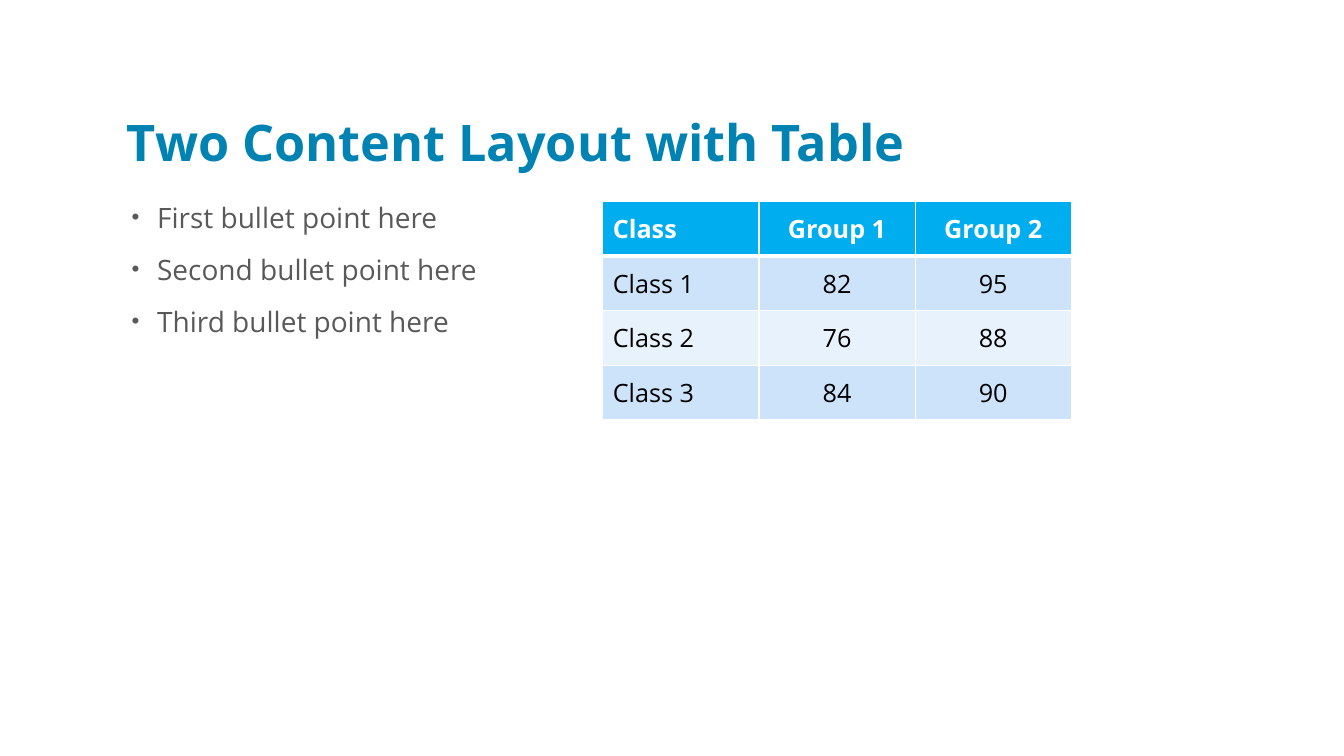
from lxml import etree
from pptx import Presentation
from pptx.dml.color import RGBColor
from pptx.enum.text import MSO_ANCHOR, PP_ALIGN
from pptx.oxml.ns import qn
from pptx.util import Cm, Pt

BOTTOM, MIDDLE = MSO_ANCHOR.BOTTOM, MSO_ANCHOR.MIDDLE
LEFT, CENTER = PP_ALIGN.LEFT, PP_ALIGN.CENTER

TITLE_BLUE = RGBColor(0x00, 0x83, 0xB3)
BODY_GRAY = RGBColor(0x59, 0x59, 0x59)
HEADER_BLUE = RGBColor(0x00, 0xAE, 0xEF)
BANDS = RGBColor(0xE7, 0xF2, 0xFC), RGBColor(0xCC, 0xE3, 0xF9)
WHITE = RGBColor(0xFF, 0xFF, 0xFF)
BLACK = RGBColor(0x00, 0x00, 0x00)

FONT = "Open Sans"
BULLETS = [
    "First bullet point here",
    "Second bullet point here",
    "Third bullet point here",
]
SCORES = [
    ("Class", "Group 1", "Group 2"),
    ("Class 1", "82", "95"),
    ("Class 2", "76", "88"),
    ("Class 3", "84", "90"),
]


def write(p, text, color, font, para):
    """Put one run in a paragraph and apply the font and paragraph values."""
    r = p.add_run()
    r.text = text
    r.font.color.rgb = color
    for target, values in ((r.font, {"name": FONT, **font}), (p, para)):
        for name, value in values.items():
            setattr(target, name, value)


def add_bullet(p):
    """Give a paragraph a hanging bullet."""
    pPr = p._p.get_or_add_pPr()
    pPr.set("marL", str(Cm(0.76)))
    pPr.set("indent", str(Cm(-0.64)))
    clr = etree.SubElement(pPr, qn("a:buClr"))
    etree.SubElement(clr, qn("a:srgbClr"), val=str(BODY_GRAY))
    etree.SubElement(pPr, qn("a:buSzPct"), val="80000")
    etree.SubElement(pPr, qn("a:buFont"), typeface="Arial")
    etree.SubElement(pPr, qn("a:buChar"), char="\u2022")


def add_borders(cell, widths):
    """Draw white cell borders, given a width for each side."""
    tcPr = cell._tc.get_or_add_tcPr()
    for side, width in widths.items():
        ln = etree.SubElement(tcPr, qn(f"a:ln{side}"), w=str(Pt(width)))
        fill = etree.SubElement(ln, qn("a:solidFill"))
        etree.SubElement(fill, qn("a:srgbClr"), val=str(WHITE))


def add_title(s, box, text):
    """Place the slide title at the bottom of its box."""
    tf = s.shapes.add_textbox(*box).text_frame
    tf.word_wrap = True
    tf.vertical_anchor = BOTTOM
    write(tf.paragraphs[0], text, TITLE_BLUE,
          {"size": Pt(36), "bold": True}, {"line_spacing": 0.8})


def add_bullets(s, box, items):
    """Place the bullet list."""
    tf = s.shapes.add_textbox(*box).text_frame
    tf.word_wrap = True
    for i, item in enumerate(items):
        p = tf.add_paragraph() if i else tf.paragraphs[0]
        write(p, item, BODY_GRAY, {"size": Pt(20)},
              {"line_spacing": 0.8, "space_before": Pt(18)})
        add_bullet(p)


def add_scores(s, box, rows):
    """Place the score table with a header row and banded rows."""
    table = s.shapes.add_table(len(rows), len(rows[0]), *box).table
    for i, row in enumerate(rows):
        header = i == 0
        widths = {"L": 1, "R": 1, "T": 3 if i == 1 else 1, "B": 3 if header else 1}
        for j, text in enumerate(row):
            cell = table.cell(i, j)
            add_borders(cell, widths)
            cell.fill.solid()
            cell.fill.fore_color.rgb = HEADER_BLUE if header else BANDS[i % 2]
            cell.vertical_anchor = MIDDLE
            write(cell.text_frame.paragraphs[0], text, WHITE if header else BLACK,
                  {"size": Pt(18), "bold": header},
                  {"alignment": CENTER if j else LEFT})


def main():
    """Build the slide and save it."""
    prs = Presentation()
    prs.slide_width, prs.slide_height = Cm(33.87), Cm(19.05)
    s = prs.slides.add_slide(prs.slide_layouts[6])
    left, top, column = Cm(2.95), Cm(5.08), Cm(11.81)
    add_title(s, (left, Cm(1.47), Cm(24.13), Cm(2.97)),
              "Two Content Layout with Table")
    add_bullets(s, (left, top, column, Cm(11.63)), BULLETS)
    add_scores(s, (Cm(15.19), top, column, Cm(5.5)), SCORES)
    prs.save("out.pptx")


main()
